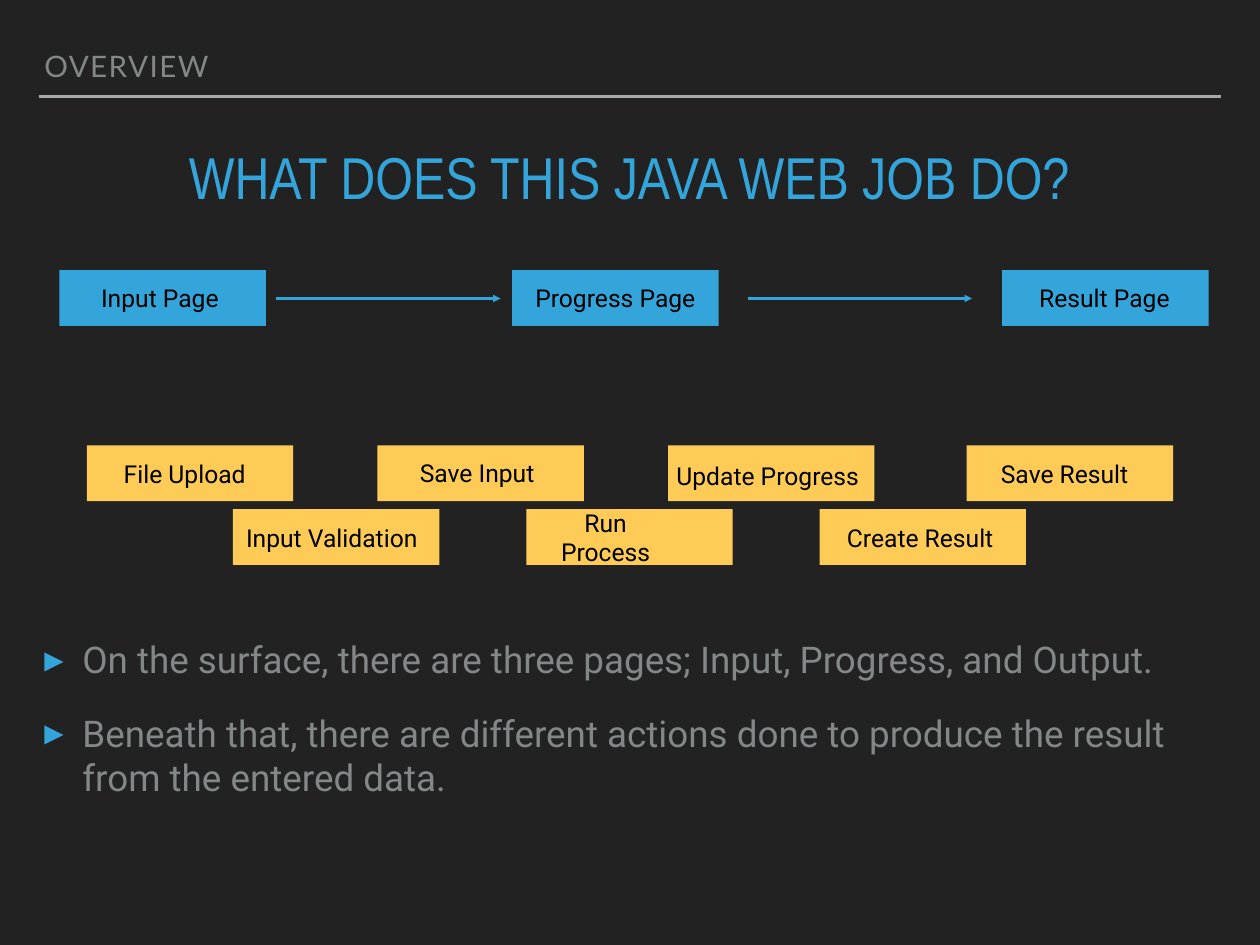
"""Build the overview slide of a Java web job: pages, actions and notes."""
from dataclasses import dataclass

from lxml import etree
from pptx import Presentation
from pptx.dml.color import RGBColor
from pptx.enum.shapes import MSO_CONNECTOR, MSO_SHAPE
from pptx.enum.text import MSO_ANCHOR, MSO_AUTO_SIZE, PP_ALIGN
from pptx.oxml.ns import qn
from pptx.util import Inches, Pt

RECT, LINE = MSO_SHAPE.RECTANGLE, MSO_CONNECTOR.STRAIGHT
TOP, MIDDLE, BOTTOM = MSO_ANCHOR.TOP, MSO_ANCHOR.MIDDLE, MSO_ANCHOR.BOTTOM
LEFT, CENTER = PP_ALIGN.LEFT, PP_ALIGN.CENTER
NO_FIT = MSO_AUTO_SIZE.NONE

TOPIC = "OVERVIEW"
TITLE = "WHAT DOES THIS JAVA WEB JOB DO?"
NOTES = [
    "On the surface, there are three pages; Input, Progress, and Output.",
    "Beneath that, there are different actions done to produce the result "
    "from the entered data.",
]
# Each step: lines, box left, label width, label shift right and down.
PAGES = [
    (["Input Page"], 0.67, 1.5, -0.03, 0),
    (["Progress Page"], 5.78, 1.92, 0, 0),
    (["Result Page"], 11.31, 1.6, -0.01, 0),
]
UPPER = [
    (["File Upload"], 0.98, 1.59, -0.06, 0),
    (["Save Input"], 4.26, 1.47, -0.04, -0.01),
    (["Update Progress"], 7.54, 2.24, -0.04, 0.03),
    (["Save Result"], 10.91, 1.58, -0.06, 0),
]
LOWER = [
    (["Input Validation"], 2.63, 2.14, -0.05, 0),
    (["Run", "Process"], 5.94, 1.65, -0.27, 0),
    (["Create Result"], 9.25, 1.82, -0.03, 0),
]
ARROWS = [3.12, 8.44]


@dataclass(frozen=True)
class Theme:
    """Hold colours, fonts and type sizes."""
    back: str = "222222"
    rule: str = "A6AAA9"
    grey: str = "838787"
    blue: str = "34A5DA"
    gold: str = "FDCB56"
    ink: str = "000000"
    head: str = "Arial Narrow"
    tag: str = "Lato"
    text: str = "Roboto"
    big: float = 48
    mid: float = 29.9
    small: float = 24
    label: float = 20


LOOK = Theme()
WIDE, HIGH = 14.22, 10.67
EDGE = 0.44
BOX_W, BOX_H, LABEL_H = 2.33, 0.63, 0.49
ROWS = [(PAGES, 3.05, LOOK.blue), (UPPER, 5.03, LOOK.gold), (LOWER, 5.75, LOOK.gold)]
ARROW_Y, ARROW_W = 3.37, 2.53


def color(code):
    return RGBColor.from_string(code)


def frame(shape, anchor, wrap=True):
    body = shape.text_frame
    body.auto_size, body.word_wrap, body.vertical_anchor = NO_FIT, wrap, anchor
    body.margin_left = body.margin_right = Inches(0.06)
    body.margin_top = body.margin_bottom = Inches(0.06)
    return body


def write(para, text, face, size, code):
    run = para.add_run()
    run.text = text
    font = run.font
    font.name, font.size, font.bold = face, Pt(size), False
    font.color.rgb = color(code)
    return run


def place(shape, *spot):
    shape.left, shape.top, shape.width, shape.height = map(Inches, spot)


def bullet(para):
    props = para._p.get_or_add_pPr()
    props.set("marL", str(Inches(0.43)))
    props.set("indent", str(-Inches(0.43)))
    tint = etree.SubElement(props, qn("a:buClr"))
    etree.SubElement(tint, qn("a:srgbClr"), val=LOOK.blue)
    etree.SubElement(props, qn("a:buSzPct"), val="105000")
    etree.SubElement(props, qn("a:buFont"), typeface="Arial")
    etree.SubElement(props, qn("a:buChar"), char="▸")


def add_line(slide, left, top, width, code, arrow=False):
    line = slide.shapes.add_connector(
        LINE, Inches(left), Inches(top), Inches(left + width), Inches(top))
    line.line.color.rgb, line.line.width = color(code), Pt(2)
    if arrow:
        etree.SubElement(line.line._get_or_add_ln(), qn("a:tailEnd"), type="triangle")
    etree.SubElement(line._element.spPr, qn("a:effectLst"))


def add_step(slide, top, fill, step):
    lines, left, width, right, down = step
    box = slide.shapes.add_shape(
        RECT, Inches(left), Inches(top), Inches(BOX_W), Inches(BOX_H))
    box.shadow.inherit = False
    box.fill.solid()
    box.fill.fore_color.rgb = color(fill)
    box.line.fill.background()
    label = slide.shapes.add_textbox(0, 0, 0, 0)
    place(label, left + (BOX_W - width) / 2 + right,
          top + (BOX_H - LABEL_H) / 2 + down, width, LABEL_H)
    para = frame(label, MIDDLE, False).paragraphs[0]
    para.alignment = CENTER
    for order, text in enumerate(lines):
        if order:
            para.add_line_break()
        write(para, text, LOOK.text, LOOK.label, LOOK.ink)


def add_text(slide):
    title, topic, notes, *spare = slide.placeholders
    for holder in spare:
        holder._element.getparent().remove(holder._element)

    place(topic, EDGE, 0.5, 12.22, 0.5)
    para = frame(topic, BOTTOM).paragraphs[0]
    para.alignment, para.line_spacing, para.space_before = LEFT, 0.8, Pt(0)
    run = write(para, TOPIC, LOOK.tag, LOOK.small, LOOK.grey)
    run.font._element.set("spc", "120")

    place(title, EDGE, 1.68, 13.33, 0.79)
    para = frame(title, TOP).paragraphs[0]
    para.alignment, para.line_spacing = CENTER, 0.8
    write(para, TITLE, LOOK.head, LOOK.big, LOOK.blue)

    place(notes, EDGE, 7.13, 13.33, 2.55)
    body = frame(notes, TOP)
    for order, text in enumerate(NOTES):
        para = body.add_paragraph() if order else body.paragraphs[0]
        para.alignment, para.space_before = LEFT, Pt(24)
        bullet(para)
        write(para, text, LOOK.text, LOOK.mid, LOOK.grey)


def main():
    deck = Presentation()
    deck.slide_width, deck.slide_height = Inches(WIDE), Inches(HIGH)
    slide = deck.slides.add_slide(deck.slide_layouts.get_by_name("Comparison"))
    slide.background.fill.solid()
    slide.background.fill.fore_color.rgb = color(LOOK.back)
    add_text(slide)
    add_line(slide, EDGE, 1.09, WIDE - 2 * EDGE, LOOK.rule)
    for steps, top, fill in ROWS:
        for step in steps:
            add_step(slide, top, fill, step)
    for left in ARROWS:
        add_line(slide, left, ARROW_Y, ARROW_W, LOOK.blue, True)
    deck.save("out.pptx")


if __name__ == "__main__":
    main()
